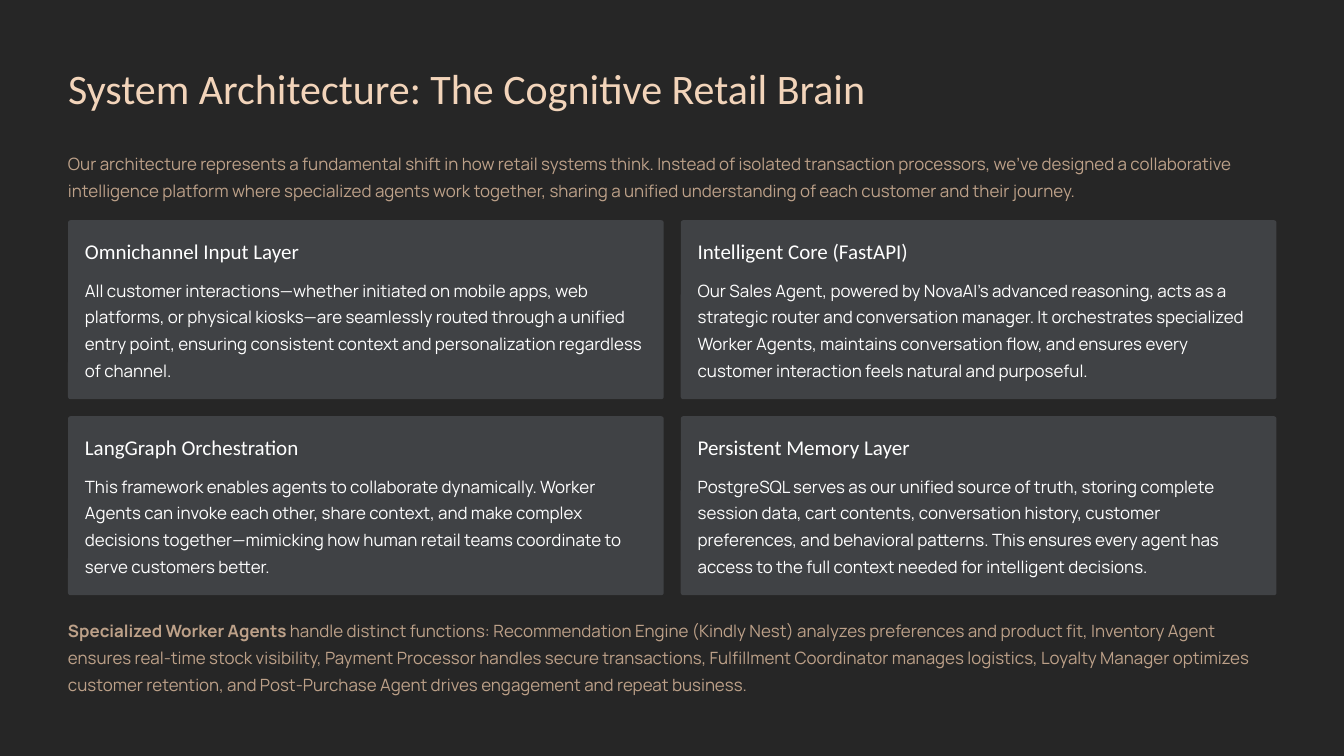
"""Builds the system architecture slide."""
from pptx import Presentation, util as u
from pptx.dml.color import RGBColor
from pptx.enum import shapes, text

TITLE = "System Architecture: The Cognitive Retail Brain"
INTRO = "Our architecture represents a fundamental shift in how retail systems think. Instead of isolated transaction processors, we've designed a collaborative intelligence platform where specialized agents work together, sharing a unified understanding of each customer and their journey."
CARDS = [
    ("Omnichannel Input Layer",
     "All customer interactions—whether initiated on mobile apps, web platforms, or physical kiosks—are seamlessly routed through a unified entry point, ensuring consistent context and personalization regardless of channel."),
    ("Intelligent Core (FastAPI)",
     "Our Sales Agent, powered by NovaAI's advanced reasoning, acts as a strategic router and conversation manager. It orchestrates specialized Worker Agents, maintains conversation flow, and ensures every customer interaction feels natural and purposeful."),
    ("LangGraph Orchestration",
     "This framework enables agents to collaborate dynamically. Worker Agents can invoke each other, share context, and make complex decisions together—mimicking how human retail teams coordinate to serve customers better."),
    ("Persistent Memory Layer",
     "PostgreSQL serves as our unified source of truth, storing complete session data, cart contents, conversation history, customer preferences, and behavioral patterns. This ensures every agent has access to the full context needed for intelligent decisions."),
]
AGENTS_LEAD = "Specialized Worker Agents"
AGENTS = " handle distinct functions: Recommendation Engine (Kindly Nest) analyzes preferences and product fit, Inventory Agent ensures real-time stock visibility, Payment Processor handles secure transactions, Fulfillment Coordinator manages logistics, Loyalty Manager optimizes customer retention, and Post-Purchase Agent drives engagement and repeat business."

BACK, PANEL, PEACH, TAN, WHITE = "262626", "404245", "F2D4BA", "BDA189", "FFFFFF"
LEFT, WIDTH = 58.3, 1036
CARD_TOP, CARD_W, CARD_H, GAP, PAD = 188.8, 510.6, 153.4, 14.6, 14.5


def color(value):
    return RGBColor.from_string(value)


def add_text(s, content, x, y, w, h, size=14.5, font="Manrope",
             fill=WHITE, spacing=23, wrap=True, lead=""):
    tf = s.shapes.add_textbox(u.Pt(x), u.Pt(y), u.Pt(w), u.Pt(h)).text_frame
    tf.margin_left = tf.margin_top = tf.margin_right = tf.margin_bottom = 0
    tf.word_wrap = wrap
    tf.vertical_anchor = text.MSO_ANCHOR.TOP
    p = tf.paragraphs[0]
    p.line_spacing = u.Pt(spacing)
    for part, bold in ((lead, True), (content, False)):
        if part:
            r = p.add_run()
            r.text = part
            r.font.size, r.font.name, r.font.bold = u.Pt(size), font, bold
            r.font.color.rgb = color(fill)


def add_card(s, heading, body, x, y):
    sp = s.shapes.add_shape(shapes.MSO_SHAPE.ROUNDED_RECTANGLE,
                            u.Pt(x), u.Pt(y), u.Pt(CARD_W), u.Pt(CARD_H))
    sp.adjustments[0] = 0.014
    sp.shadow.inherit = False
    sp.fill.solid()
    sp.fill.fore_color.rgb = color(PANEL)
    sp.line.fill.background()
    inner = CARD_W - 2 * PAD
    add_text(s, heading, x + PAD, y + 14.8, inner, 23, size=18,
             font="Calibri", spacing=22.5, wrap=False)
    add_text(s, body, x + PAD, y + 45.8, inner, 93)


def main():
    prs = Presentation()
    prs.slide_width, prs.slide_height = u.Pt(1152), u.Pt(648)
    s = prs.slides.add_slide(prs.slide_layouts[6])
    s.background.fill.solid()
    s.background.fill.fore_color.rgb = color(BACK)

    add_text(s, TITLE, LEFT, 51.8, 826.6, 45.4, size=36, font="Calibri",
             fill=PEACH, spacing=45, wrap=False)
    add_text(s, INTRO, LEFT, 126, WIDTH, 46.8, fill=TAN)
    for i, (heading, body) in enumerate(CARDS):
        row, col = divmod(i, 2)
        add_card(s, heading, body, LEFT + col * (CARD_W + GAP),
                 CARD_TOP + row * (CARD_H + GAP))
    add_text(s, AGENTS, LEFT, 526.3, WIDTH, 69.8, fill=TAN, lead=AGENTS_LEAD)
    prs.save("out.pptx")


if __name__ == "__main__":
    main()
